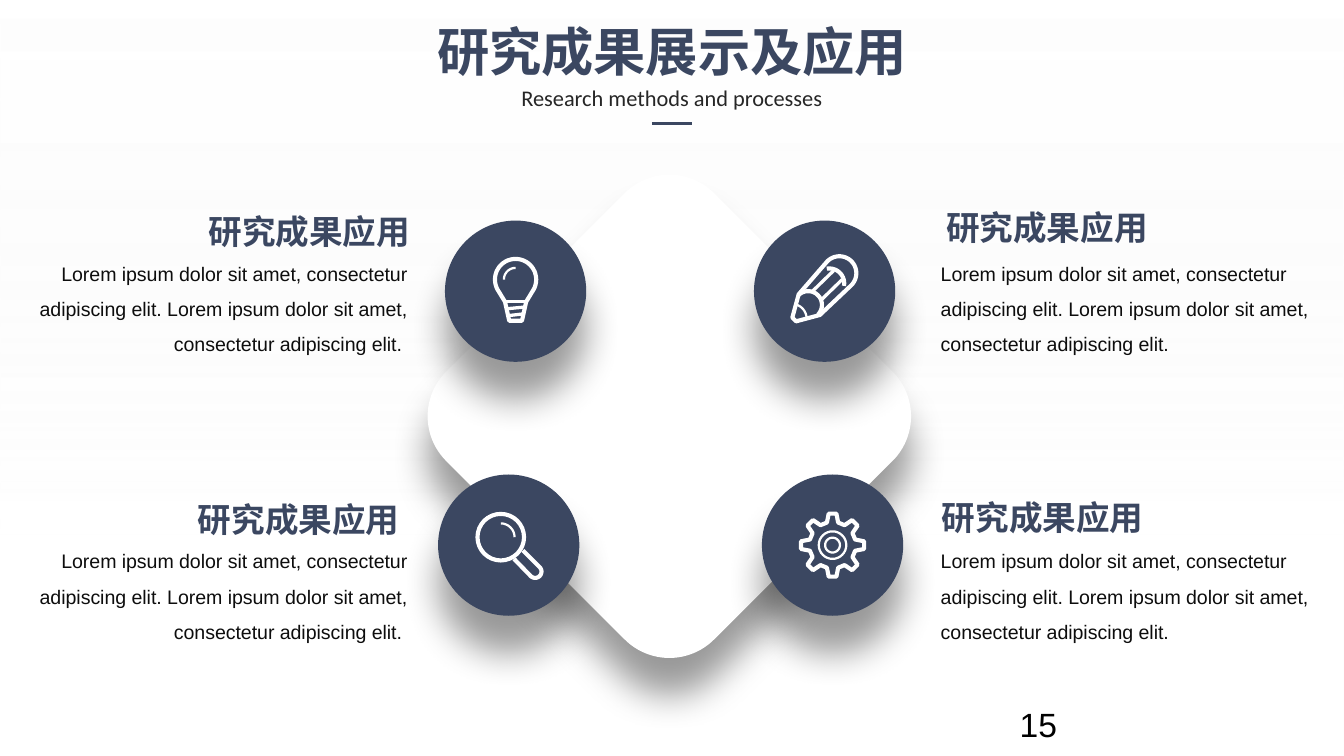
import math

import lxml.etree
import pptx
import pptx.dml.color
import pptx.enum.shapes
import pptx.enum.text
import pptx.oxml
import pptx.oxml.ns
import pptx.util
from pptx.util import Cm

SHAPE = pptx.enum.shapes.MSO_SHAPE
ALIGN = pptx.enum.text.PP_ALIGN
NAVY, WHITE = "3B4761", "FFFFFF"
HEAVY = "Noto Sans CJK SC"
DISC = 2.67
HEADING = "研究成果应用"
BODY = ("Lorem ipsum dolor sit amet, consectetur adipiscing elit. "
        "Lorem ipsum dolor sit amet, consectetur adipiscing elit.")


def colour(value):
    return pptx.dml.color.RGBColor.from_string(value)


def add_xml(parent, text):
    namespace = pptx.oxml.ns.nsdecls("a")
    parent.append(pptx.oxml.parse_xml(text.replace(">", f" {namespace}>", 1)))


def write(box, text, size, font, tint, align=ALIGN.LEFT, bold=False, spacing=None, wrap=True, side=0.25):
    frame = box.text_frame
    frame.word_wrap = wrap
    frame.auto_size = pptx.enum.text.MSO_AUTO_SIZE.NONE
    frame.vertical_anchor = pptx.enum.text.MSO_ANCHOR.TOP
    frame.margin_left = frame.margin_right = Cm(side)
    frame.margin_top = frame.margin_bottom = Cm(0.13)
    para = frame.paragraphs[0]
    para.alignment = align
    para.line_spacing = spacing
    span = para.add_run()
    span.text = text
    span.font.size = pptx.util.Pt(size)
    span.font.name = font
    span.font.bold = bold
    span.font.color.rgb = colour(tint)
    add_xml(span._r.get_or_add_rPr(), f'<a:ea typeface="{font}"></a:ea>')


def add_text(page, place, *details, **options):
    box = page.shapes.add_textbox(*map(Cm, place))
    write(box, *details, **options)


def add_shape(page, kind, place, fill, shadow=True):
    shape = page.shapes.add_shape(kind, *map(Cm, place))
    shape.shadow.inherit = False
    shape.fill.solid()
    shape.fill.fore_color.rgb = colour(fill)
    shape.line.fill.background()
    if shadow:
        effects = shape.element.spPr.find(pptx.oxml.ns.qn("a:effectLst"))
        add_xml(effects, '<a:outerShdw blurRad="254000" dist="254000" dir="5400000" rotWithShape="0">'
                         '<a:srgbClr val="000000"><a:alpha val="40000"/></a:srgbClr></a:outerShdw>')
    return shape


def add_backdrop(page):
    shape = add_shape(page, SHAPE.RECTANGLE, (0, 0, 25.4, 14.29), WHITE, False)
    shape.fill.gradient()
    shape.fill.gradient_angle = 270
    for stop, position, tint, alpha in zip(
            shape.fill.gradient_stops, (0, 0.71), (WHITE, "F2F2F2"), (55000, 0)):
        stop.position = position
        stop.color.rgb = colour(tint)
    values = shape.element.spPr.iter(pptx.oxml.ns.qn("a:srgbClr"))
    for value, alpha in zip(values, (55000, 0)):
        add_xml(value, f'<a:alpha val="{alpha}"></a:alpha>')
    shape.element.getparent().insert(2, shape.element)


def add_line(page, start, end, tint, width):
    line = page.shapes.add_connector(pptx.enum.shapes.MSO_CONNECTOR.STRAIGHT, *map(Cm, start + end))
    line.line.color.rgb = colour(tint)
    line.line.width = pptx.util.Pt(width)
    add_xml(line.element.spPr, "<a:effectLst></a:effectLst>")


def arc(x, y, radius, first=0, last=360, steps=32):
    angles = [math.radians(first + (last - first) * step / steps) for step in range(steps + 1)]
    return [(x + radius * math.cos(angle), y + radius * math.sin(angle)) for angle in angles]


def add_stroke(page, centre, points, close=False, width=2.2):
    spots = [(Cm(centre[0] + x), Cm(centre[1] + y)) for x, y in points]
    builder = page.shapes.build_freeform(*spots[0])
    builder.add_line_segments(spots[1:], close=close)
    shape = builder.convert_to_shape()
    shape.shadow.inherit = False
    shape.fill.background()
    shape.line.color.rgb = colour(WHITE)
    shape.line.width = pptx.util.Pt(width)
    add_xml(shape.line._get_or_add_ln(), "<a:round></a:round>")


def add_icon_lines(page, centre, segments):
    for segment in segments:
        start, end = [(centre[0] + x, centre[1] + y) for x, y in segment]
        add_line(page, start, end, WHITE, 1.75)


def draw_bulb(page, centre):
    glass = arc(0, -0.22, 0.39, 150, 390)
    add_stroke(page, centre, glass + [(0.2, 0.2), (0.12, 0.56), (-0.12, 0.56), (-0.2, 0.2)], True)
    add_stroke(page, centre, arc(0, -0.22, 0.22, 180, 270), width=1.2)
    add_icon_lines(page, centre, [((-0.2, 0.2), (0.2, 0.2)),
                                  ((-0.16, 0.33), (0.16, 0.3)),
                                  ((-0.13, 0.46), (0.13, 0.43))])


def draw_pencil(page, centre):
    point = [(-0.09, 0.45), (-0.54, 0.57), (-0.61, 0.5), (-0.49, 0.06)]
    add_stroke(page, centre, arc(0.28, -0.34, 0.32, 225, 405) + point, True)
    add_stroke(page, centre, arc(0.09, -0.15, 0.28, -100, 10))
    add_stroke(page, centre, arc(-0.31, 0.26, 0.26, 225, 405))
    add_stroke(page, centre, arc(-0.62, 0.52, 0.28, -75, 0), width=1.2)
    add_icon_lines(page, centre, [((-0.23, 0), (0.17, -0.39)),
                                  ((-0.05, 0.15), (0.33, -0.22))])


def draw_magnifier(page, centre):
    add_stroke(page, centre, arc(-0.15, -0.15, 0.44), True)
    add_stroke(page, centre, [(0.1, 0.26)] + arc(0.5, 0.5, 0.12, 135, -45) + [(0.27, 0.1)])
    add_stroke(page, centre, arc(-0.15, -0.15, 0.26, 270, 360), width=1.2)


def draw_gear(page, centre):
    teeth = []
    for angle in range(0, 360, 45):
        for turn, radius in ((-14, 0.44), (-7, 0.6), (7, 0.6), (14, 0.44)):
            teeth += arc(0, 0, radius, angle + turn, angle + turn, 1)[:1]
    add_stroke(page, centre, teeth, True)
    for radius in (0.26, 0.14):
        add_stroke(page, centre, arc(0, 0, radius), True, 1.2)


def add_topic(page, disc, heading, body, align, draw):
    text = BODY + " " if align == ALIGN.RIGHT else BODY
    add_text(page, heading, HEADING, 18, HEAVY, NAVY, align=align, bold=True)
    add_text(page, body + (7.54, 2.21), text, 10.5, "Arial", "0D0D0D", align=align, spacing=1.5, side=0.08)
    add_shape(page, SHAPE.OVAL, disc + (DISC, DISC), NAVY)
    draw(page, (disc[0] + DISC / 2, disc[1] + DISC / 2))


def main():
    deck = pptx.Presentation()
    deck.slide_width, deck.slide_height = Cm(25.4), Cm(14.29)
    page = deck.slides.add_slide(deck.slide_layouts[5])
    add_backdrop(page)
    title = page.shapes.title
    title.left, title.top, title.width, title.height = map(Cm, (7.95, 0.23, 9.5, 1.45))
    write(title, "研究成果展示及应用", 28, HEAVY, NAVY, ALIGN.CENTER, True, wrap=False)
    add_text(page, (9.6, 1.47, 6.2, 0.76), "Research methods and processes", 12, "Calibri", "262626",
             align=ALIGN.CENTER, wrap=False)
    add_line(page, (12.32, 2.33), (13.08, 2.33), NAVY, 1.5)
    diamond = add_shape(page, SHAPE.ROUNDED_RECTANGLE, (9.07, 4.29, 7.16, 7.16), WHITE)
    diamond.rotation = 45
    add_text(page, (19.02, 13.18, 5.72, 0.76), "15", 18, "Arial", "000000")
    left, right = 0.25, 17.7
    upper, lower = 4.6, 10.03
    add_topic(page, (14.25, 4.17), (17.63, 3.78, 4.75, 1.02), (right, upper), ALIGN.LEFT, draw_pencil)
    add_topic(page, (8.41, 4.17), (3.53, 3.86, 4.47, 1.02), (left, upper), ALIGN.RIGHT, draw_bulb)
    add_topic(page, (14.4, 8.97), (17.55, 9.27, 4.98, 1.02), (right, lower), ALIGN.LEFT, draw_gear)
    add_topic(page, (8.28, 8.97), (3.33, 9.3, 4.47, 1.02), (left, lower), ALIGN.RIGHT, draw_magnifier)
    deck.save("out.pptx")


if __name__ == "__main__":
    main()
